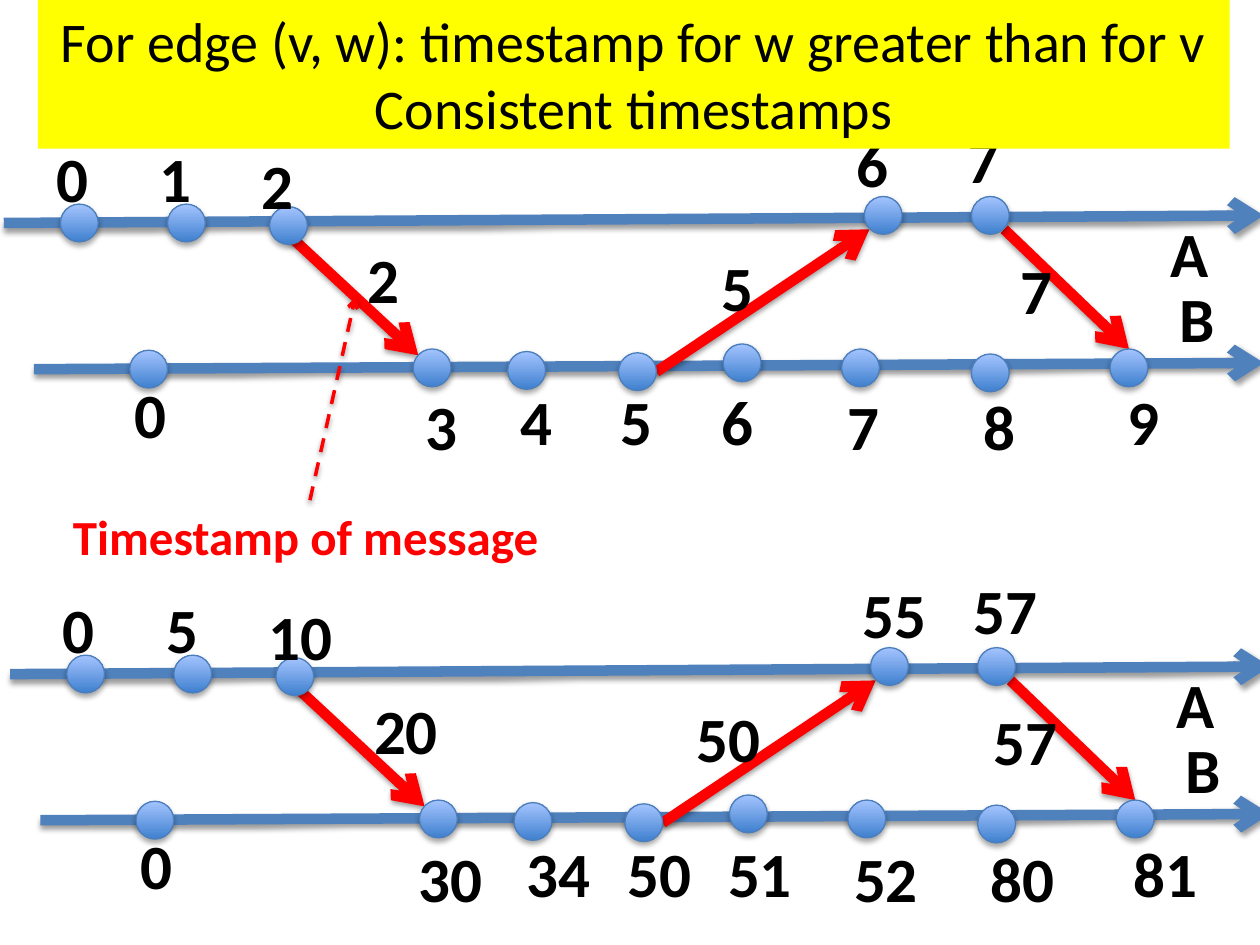
"""Builds a slide with two timelines whose events and messages carry timestamps."""
from typing import NamedTuple

from lxml.etree import SubElement
from pptx import Presentation
from pptx.dml.color import RGBColor
from pptx.enum.dml import MSO_LINE_DASH_STYLE as Dash
from pptx.enum.shapes import MSO_CONNECTOR as Connector, MSO_SHAPE as Preset
from pptx.enum.text import MSO_ANCHOR as Anchor, MSO_AUTO_SIZE as AutoSize, PP_ALIGN as Align
from pptx.oxml.ns import qn
from pptx.util import Inches, Pt

BLACK, RED, BLUE, YELLOW = "000000", "FF0000", "4F81BD", "FFFF00"
DOT_EDGE, DOT_DARK, DOT_LIGHT = "4B7EBC", "3F80CE", "A4C4FF"
DOT_SIZE = 0.3


class Arrow(NamedTuple):
    x1: float
    y1: float
    x2: float
    y2: float
    colour: str
    width: float = 6
    dashed: bool = False


class Event(NamedTuple):
    left: float
    top: float


class Label(NamedTuple):
    left: float
    top: float
    first: str
    second: str
    nudge: float = 0


class Timeline(NamedTuple):
    dx: float
    dy: float
    second: bool


ARROWS = [
    Arrow(0.27, 2.93, 10.03, 2.88, BLUE),
    Arrow(0.03, 1.77, 10.03, 1.71, BLUE),
    Arrow(2.19, 1.77, 3.32, 2.82, RED),
    Arrow(5.21, 2.95, 6.9, 1.82, RED),
    Arrow(7.97, 1.82, 8.96, 2.77, RED),
]
EVENTS = [
    Event(0.48, 1.62), Event(1.33, 1.62), Event(2.14, 1.64),
    Event(6.86, 1.56), Event(7.71, 1.56),
    Event(1.03, 2.78), Event(3.28, 2.77), Event(4.03, 2.79), Event(4.91, 2.8),
    Event(5.74, 2.73), Event(6.68, 2.77), Event(7.71, 2.81), Event(8.81, 2.77),
]
LABELS = [
    Label(0.35, 1.06, "0", "0"),
    Label(1.17, 1.06, "1", "5"),
    Label(1.98, 1.11, "2", "10"),
    Label(6.7, 0.94, "6", "55"),
    Label(7.58, 0.91, "7", "57"),
    Label(2.82, 1.86, "2", "20"),
    Label(5.63, 1.92, "5", "50", -0.25),
    Label(8, 1.95, "7", "57", -0.26),
    Label(0.97, 2.93, "0", "0"),
    Label(3.28, 3.03, "3", "30", -0.11),
    Label(4.03, 2.99, "4", "34"),
    Label(4.83, 2.99, "5", "50"),
    Label(5.63, 2.99, "6", "51"),
    Label(6.63, 3.03, "7", "52"),
    Label(7.71, 3.03, "8", "80"),
    Label(8.85, 2.99, "9", "81"),
    Label(9.19, 1.65, "A", "A"),
    Label(9.26, 2.17, "B", "B"),
]
TIMESTAMP_WIDTHS = {"A": 0.51, "B": 0.48}


def rgb(colour: str) -> RGBColor:
    return RGBColor.from_string(colour)


def add_shadow(shape, distance: int, opacity: int) -> None:
    effects = SubElement(shape.element.spPr, qn("a:effectLst"))
    shadow = SubElement(effects, qn("a:outerShdw"), blurRad="40000", dist=str(distance),
                        dir="5400000", rotWithShape="0")
    colour = SubElement(shadow, qn("a:srgbClr"), val=BLACK)
    SubElement(colour, qn("a:alpha"), val=str(opacity * 1000))


def add_arrow(page, arrow: Arrow, dx: float = 0, dy: float = 0) -> None:
    connector = page.shapes.add_connector(
        Connector.STRAIGHT, Inches(arrow.x1 + dx), Inches(arrow.y1 + dy),
        Inches(arrow.x2 + dx), Inches(arrow.y2 + dy))
    line = connector.line
    line.color.rgb = rgb(arrow.colour)
    line.width = Pt(arrow.width)
    if arrow.dashed:
        line.dash_style = Dash.DASH
    SubElement(connector.element.spPr.find(qn("a:ln")), qn("a:tailEnd"), type="arrow")
    add_shadow(connector, 20000, 38)


def add_event(page, event: Event, dx: float, dy: float) -> None:
    dot = page.shapes.add_shape(Preset.OVAL, Inches(event.left + dx), Inches(event.top + dy),
                                Inches(DOT_SIZE), Inches(DOT_SIZE))
    dot.fill.gradient()
    dot.fill.gradient_angle = 90
    for stop, colour in zip(dot.fill.gradient_stops, (DOT_DARK, DOT_LIGHT)):
        stop.color.rgb = rgb(colour)
    dot.line.color.rgb = rgb(DOT_EDGE)
    dot.line.width = Pt(0.75)
    add_shadow(dot, 23000, 35)


def add_span(para, text: str, size: float, colour: str, bold: bool) -> None:
    span = para.add_run()
    span.text = text
    span.font.name = "Calibri"
    span.font.size = Pt(size)
    span.font.bold = bold
    span.font.color.rgb = rgb(colour)


def add_text(page, text: str, left: float, top: float, width: float, height: float,
             size: float, colour: str) -> None:
    box = page.shapes.add_textbox(Inches(left), Inches(top), Inches(width), Inches(height))
    box.text_frame.word_wrap = False
    box.text_frame.auto_size = AutoSize.SHAPE_TO_FIT_TEXT
    add_span(box.text_frame.paragraphs[0], text, size, colour, True)


def add_timeline(page, timeline: Timeline) -> None:
    dx, dy, second = timeline
    for arrow in ARROWS:
        add_arrow(page, arrow, dx, dy)
    for event in EVENTS:
        add_event(page, event, dx, dy)
    for label in LABELS:
        text = label.second if second else label.first
        left = label.left + dx + (label.nudge if second else 0)
        width = TIMESTAMP_WIDTHS.get(text, 0.21 + 0.25 * len(text))
        add_text(page, text, left, label.top + dy, width, 0.71, 36, BLACK)


def format_title(page, lines: list[str]) -> None:
    title = page.shapes.title
    title.left, title.top = Inches(0.3), Inches(0)
    title.width, title.height = Inches(9.46), Inches(1.18)
    title.fill.solid()
    title.fill.fore_color.rgb = rgb(YELLOW)
    frame = title.text_frame
    frame.word_wrap = False
    frame.auto_size = AutoSize.SHAPE_TO_FIT_TEXT
    frame.vertical_anchor = Anchor.TOP
    for index, text in enumerate(lines):
        para = frame.add_paragraph() if index else frame.paragraphs[0]
        para.alignment = Align.CENTER
        add_span(para, text, 32, BLACK, False)
    title.element.getparent().append(title.element)


def main() -> None:
    deck = Presentation()
    deck.slide_width, deck.slide_height = Inches(10), Inches(7.5)
    page = deck.slides.add_slide(deck.slide_layouts[5])
    add_timeline(page, Timeline(0, 0, False))
    format_title(page, ["For edge (v, w): timestamp for w greater than for v",
                        "Consistent timestamps"])
    add_text(page, "Timestamp of message", 0.48, 3.97, 3.95, 0.57, 28, RED)
    add_arrow(page, Arrow(2.46, 3.97, 2.82, 2.36, RED, 2, True))
    add_timeline(page, Timeline(0.05, 3.58, True))
    deck.save("out.pptx")


if __name__ == "__main__":
    main()
